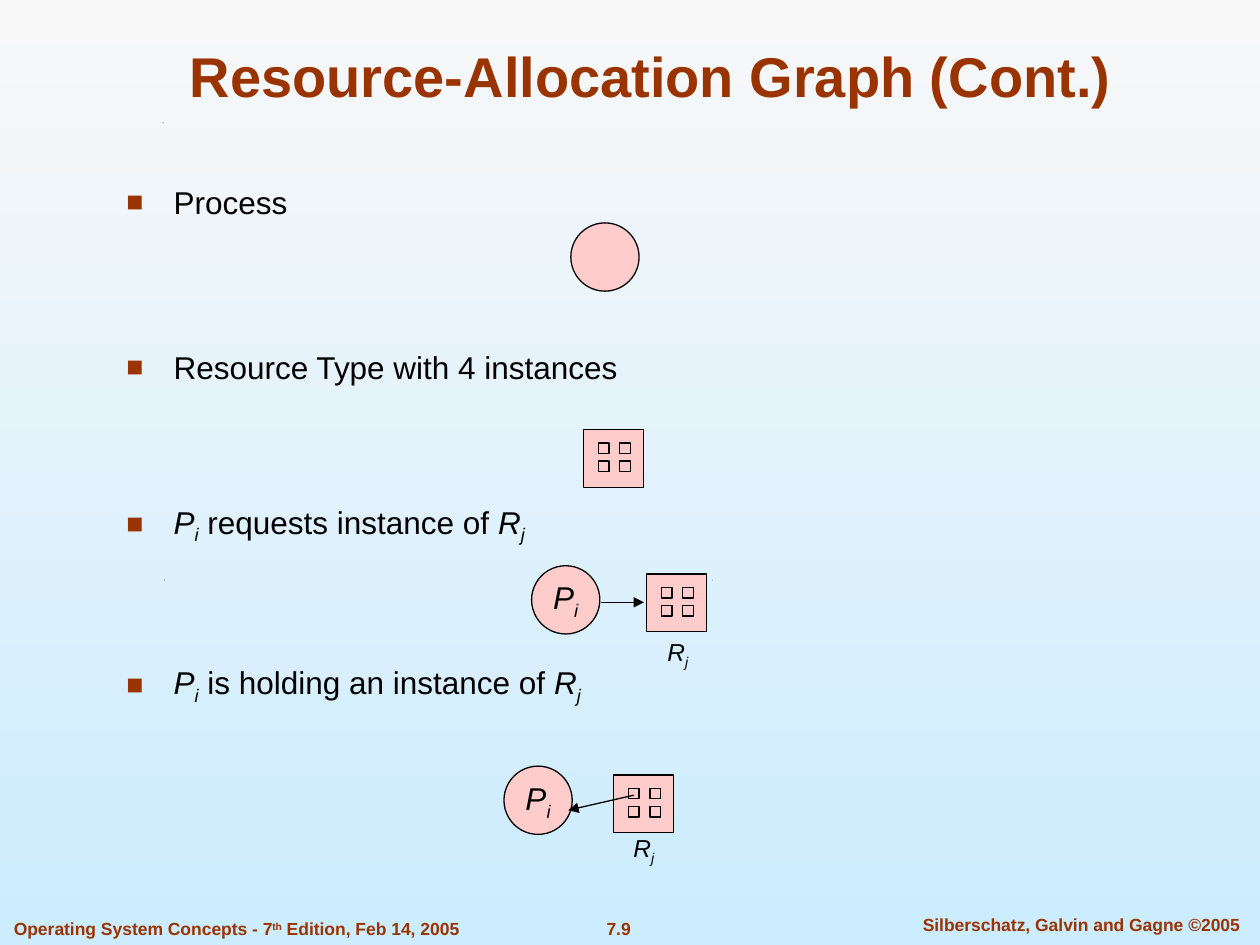
from lxml import etree
from pptx import Presentation
from pptx.dml.color import RGBColor
from pptx.enum.shapes import MSO_CONNECTOR, MSO_SHAPE
from pptx.enum.text import MSO_ANCHOR, MSO_AUTO_SIZE, PP_ALIGN
from pptx.oxml.ns import qn
from pptx.util import Pt

LEFT, CENTER = PP_ALIGN.LEFT, PP_ALIGN.CENTER
TOP, MIDDLE, BOTTOM = MSO_ANCHOR.TOP, MSO_ANCHOR.MIDDLE, MSO_ANCHOR.BOTTOM
OVAL, RECT = MSO_SHAPE.OVAL, MSO_SHAPE.RECTANGLE
STRAIGHT = MSO_CONNECTOR.STRAIGHT
FIT_SHAPE = MSO_AUTO_SIZE.SHAPE_TO_FIT_TEXT

BROWN, BLACK, PINK = "993300", "000000", "FFCCCC"
BACKGROUND = ("F8F8F8", "CCECFF")
PLAIN, ITALIC, SUB, SUPER = (False, 0), (True, 0), (True, -25), (False, 30)

TITLE = [("Resource-Allocation Graph (Cont.)", PLAIN)]
BOOK = [("Operating System Concepts - 7", PLAIN), ("th", SUPER),
        (" Edition, Feb 14, 2005", PLAIN)]
PAGE = [("7.9", PLAIN)]
AUTHORS = [("Silberschatz, Galvin and Gagne ©2005", PLAIN)]
PROCESS = [("P", ITALIC), ("i", SUB)]
RESOURCE = [("R", ITALIC), ("j", SUB)]
BULLETS = [
    (0, [("Process", PLAIN)]),
    (73, [("Resource Type with 4 instances", PLAIN)]),
    (66.7, PROCESS + [(" requests instance of ", PLAIN)] + RESOURCE),
    (67.2, PROCESS + [(" is holding an instance of ", PLAIN)] + RESOURCE),
]

HEADING = dict(size=Pt(32), bold=True)
FOOTER = dict(size=Pt(10), bold=True)
BODY = dict(size=Pt(18))
LABEL = dict(size=Pt(14))

TEXTS = [
    (TITLE, (54, 17.5, 635.8, 48.2), HEADING, BROWN, CENTER, BOTTOM, True),
    (BOOK, (7.9, 521, 268.6, 19), FOOTER, BROWN, LEFT, TOP, False),
    (PAGE, (318.2, 521, 70.6, 19), FOOTER, BROWN, CENTER, TOP, False),
    (AUTHORS, (511, 518.8, 213.8, 19), FOOTER, BROWN, CENTER, TOP, True),
    (RESOURCE, (374.4, 360, 25.9, 26.6), LABEL, BLACK, CENTER, MIDDLE, False),
    (RESOURCE, (355, 472.3, 25.9, 26.6), LABEL, BLACK, CENTER, MIDDLE, False),
]
BODY_BOX = (65.1, 100.8, 578.9, 352.8)
INDENT = 27
CIRCLES = [(326.2, 127.4, []), (303.8, 323.3, PROCESS), (288, 437.8, PROCESS)]
CIRCLE_SIZE = 39
RESOURCES = [(333.4, 245.5), (369.4, 328.1), (350.6, 442.9)]
RESOURCE_SIZE = (34.4, 33)
INSTANCE_SIZE, INSTANCE_LEFT, INSTANCE_TOP = 6, 8.6, 7.6
INSTANCE_PITCH = (12.2, 10.4)
ARROWS = [(343.6, 344.2, 368, 344.2), (362.2, 454.4, 324.7, 463)]
SPECKS = [(126.7, 390.8), (93.6, 331.2), (406.8, 331.2), (92.9, 69.8)]
SPECK_SIZE = 0.5


def color(value):
    return RGBColor.from_string(value)


def style(sp):
    sp.shadow.inherit = False
    sp.fill.solid()
    sp.fill.fore_color.rgb = color(PINK)
    sp.line.color.rgb = color(BLACK)
    sp.line.width = Pt(0.75)
    return sp


def add_preset(shapes, kind, *box):
    return style(shapes.add_shape(kind, *map(Pt, box)))


def fill_paragraph(p, runs, font, ink, align=LEFT):
    p.alignment = align
    for text, (italic, baseline) in runs:
        r = p.add_run()
        r.text = text
        for name, value in dict(font, name="Arial", italic=italic).items():
            setattr(r.font, name, value)
        r.font.color.rgb = color(ink)
        if baseline:
            r.font._element.set("baseline", str(baseline * 1000))


def set_frame(tf, anchor, wrap):
    tf.vertical_anchor = anchor
    tf.word_wrap = wrap
    return tf


def add_text(shapes, runs, box, font, ink, align, anchor, wrap):
    tf = set_frame(shapes.add_textbox(*map(Pt, box)).text_frame, anchor, wrap)
    if not wrap:
        tf.auto_size = FIT_SHAPE
        tf.margin_left = tf.margin_right = 0
    fill_paragraph(tf.paragraphs[0], runs, font, ink, align)


def add_bullet(p):
    pPr = p._p.get_or_add_pPr()
    pPr.set("marL", str(Pt(INDENT)))
    pPr.set("indent", str(-Pt(INDENT)))
    clr = etree.SubElement(pPr, qn("a:buClr"))
    etree.SubElement(clr, qn("a:srgbClr"), val=BROWN)
    etree.SubElement(pPr, qn("a:buSzPct"), val="90000")
    etree.SubElement(pPr, qn("a:buFont"), typeface="Arial")
    etree.SubElement(pPr, qn("a:buChar"), char="■")


def add_body(shapes):
    tf = set_frame(shapes.add_textbox(*map(Pt, BODY_BOX)).text_frame, TOP, True)
    for i, (gap, runs) in enumerate(BULLETS):
        p = tf.add_paragraph() if i else tf.paragraphs[0]
        p.space_before = Pt(gap)
        add_bullet(p)
        fill_paragraph(p, runs, BODY, BLACK)


def add_circle(shapes, x, y, runs):
    sp = add_preset(shapes, OVAL, x, y, CIRCLE_SIZE, CIRCLE_SIZE)
    tf = set_frame(sp.text_frame, MIDDLE, False)
    fill_paragraph(tf.paragraphs[0], runs, BODY, BLACK, CENTER)


def add_resource(shapes, x, y):
    group = shapes.add_group_shape().shapes
    add_preset(group, RECT, x, y, *RESOURCE_SIZE)
    for i in range(4):
        row, col = divmod(i, 2)
        add_preset(group, RECT, x + INSTANCE_LEFT + col * INSTANCE_PITCH[0],
                   y + INSTANCE_TOP + row * INSTANCE_PITCH[1],
                   INSTANCE_SIZE, INSTANCE_SIZE)


def add_arrow(shapes, *ends):
    line = shapes.add_connector(STRAIGHT, *map(Pt, ends))
    line.line.color.rgb = color(BLACK)
    line.line.width = Pt(0.75)
    etree.SubElement(line.line._get_or_add_ln(), qn("a:tailEnd"), type="triangle")
    etree.SubElement(line._element.spPr, qn("a:effectLst"))


def add_speck(shapes, x, y):
    fb = shapes.build_freeform(Pt(x), Pt(y + SPECK_SIZE))
    fb.add_line_segments([(Pt(x + SPECK_SIZE), Pt(y)),
                          (Pt(x + SPECK_SIZE), Pt(y + SPECK_SIZE))])
    sp = style(fb.convert_to_shape())
    sp.fill.fore_color.rgb = color(BLACK)
    sp.line.fill.background()


def main():
    prs = Presentation()
    prs.slide_width, prs.slide_height = Pt(720), Pt(540)
    s = prs.slides.add_slide(prs.slide_layouts[6])
    fill = s.background.fill
    fill.gradient()
    fill.gradient_angle = 270
    for stop, value, position in zip(fill.gradient_stops, BACKGROUND, (0, 1)):
        stop.color.rgb = color(value)
        stop.position = position
    for speck in SPECKS:
        add_speck(s.shapes, *speck)
    add_body(s.shapes)
    for circle in CIRCLES:
        add_circle(s.shapes, *circle)
    for resource in RESOURCES:
        add_resource(s.shapes, *resource)
    for arrow in ARROWS:
        add_arrow(s.shapes, *arrow)
    for text in TEXTS:
        add_text(s.shapes, *text)
    prs.save("out.pptx")


if __name__ == "__main__":
    main()
